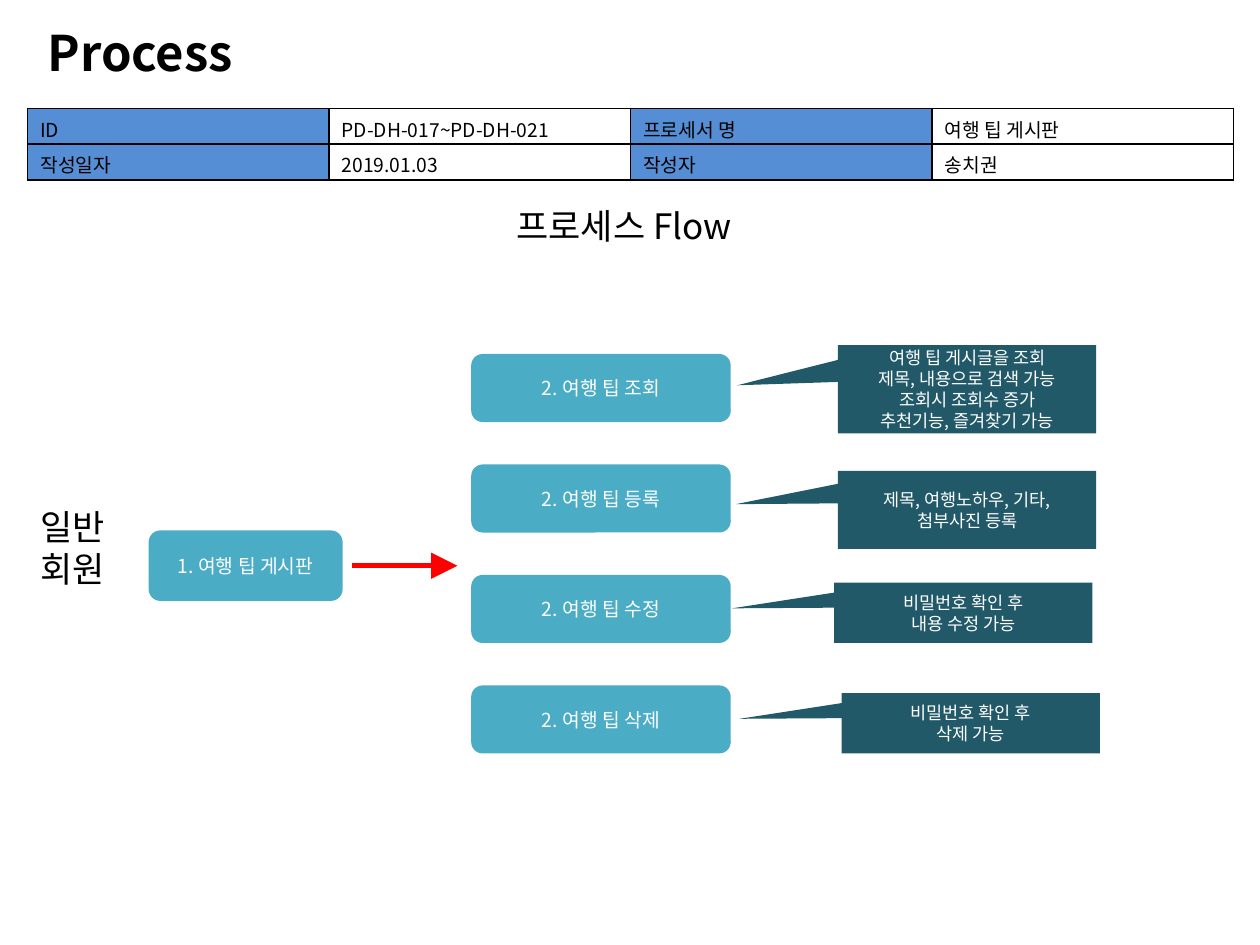
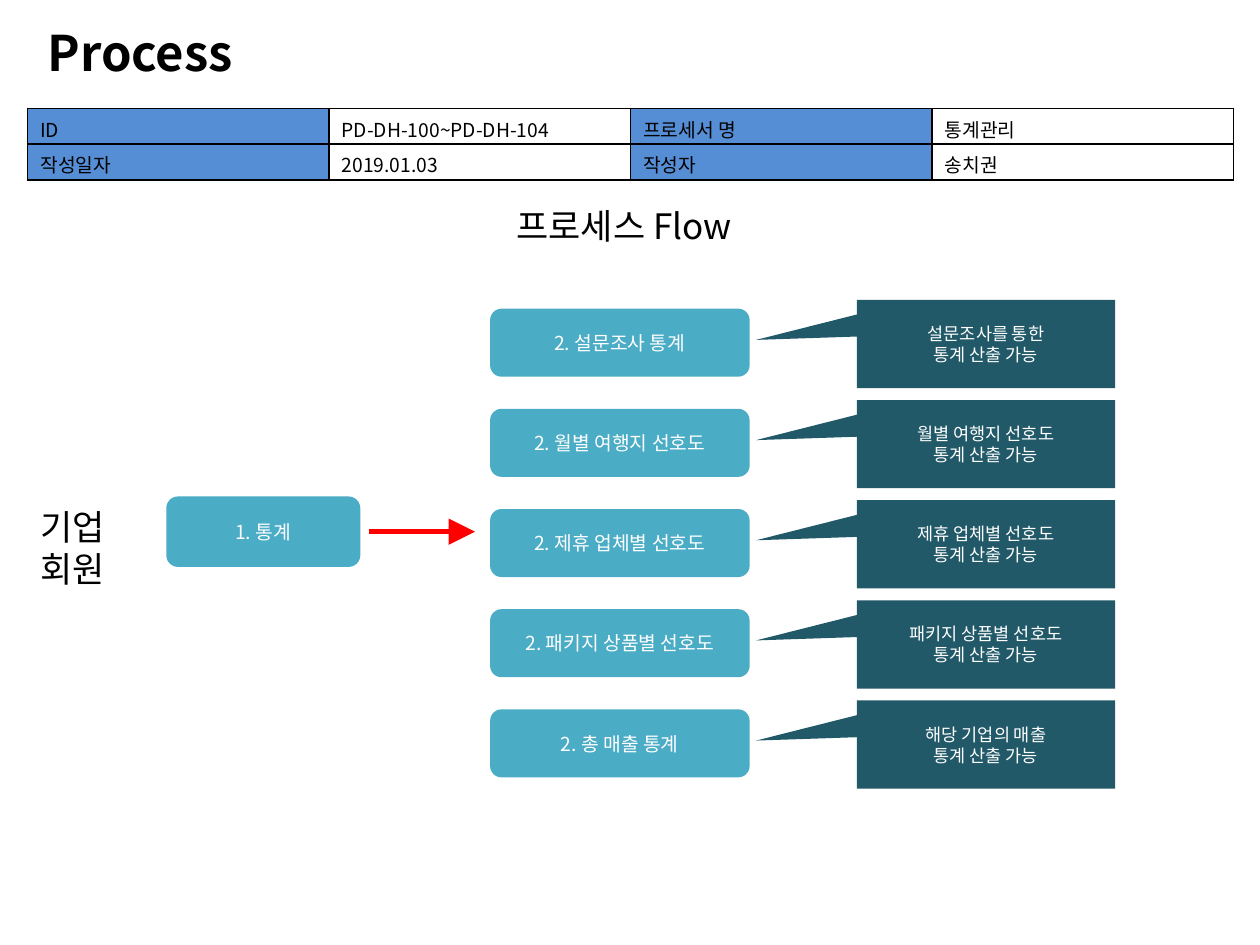
from lxml import etree
from pptx import Presentation
from pptx.dml.color import RGBColor
from pptx.enum.shapes import MSO_CONNECTOR, MSO_SHAPE
from pptx.enum.text import MSO_ANCHOR, PP_ALIGN
from pptx.oxml.ns import qn
from pptx.util import Inches, Pt

ROUNDED = MSO_SHAPE.ROUNDED_RECTANGLE
CALLOUT = MSO_SHAPE.RECTANGULAR_CALLOUT
STRAIGHT = MSO_CONNECTOR.STRAIGHT
MIDDLE = MSO_ANCHOR.MIDDLE
LEFT, CENTER = PP_ALIGN.LEFT, PP_ALIGN.CENTER

FONT = "Noto Sans CJK KR"
BLACK, WHITE, RED = "000000", "FFFFFF", "FF0000"
LABEL_BLUE, STEP_TEAL, NOTE_TEAL = "558ED5", "4BACC6", "215968"
STEP_W, STEP_H = 2.06, 0.54
NOTE_W = 2.05
START_W, START_H = 1.54, 0.56
TALL_TAIL, SHORT_TAIL = (-0.89, -0.045), (-0.895, -0.073)

TIP_BOARD = {
    "id": "PD-DH-017~PD-DH-021",
    "name": "여행 팁 게시판",
    "member": ["일반", "회원"],
    "start": ("1. 여행 팁 게시판", 1.18, 4.21),
    "steps_left": 3.74,
    "first_top": 2.81,
    "last_top": 5.44,
    "steps": [
        ("2. 여행 팁 조회",
         ["여행 팁 게시글을 조회", "제목, 내용으로 검색 가능",
          "조회시 조회수 증가", "추천기능, 즐겨찾기 가능"],
         (2.91, -0.07, 0.7), TALL_TAIL),
        ("2. 여행 팁 등록", ["제목, 여행노하우, 기타,", "첨부사진 등록"],
         (2.91, 0.05, 0.62), SHORT_TAIL),
        ("2. 여행 팁 수정", ["비밀번호 확인 후", "내용 수정 가능"],
         (2.88, 0.06, 0.48), SHORT_TAIL),
        ("2. 여행 팁 삭제", ["비밀번호 확인 후", "삭제 가능"],
         (2.94, 0.06, 0.48), SHORT_TAIL),
    ],
}

STATISTICS = {
    "id": "PD-DH-100~PD-DH-104",
    "name": "통계관리",
    "member": ["기업", "회원"],
    "start": ("1. 통계", 1.32, 3.94),
    "steps_left": 3.89,
    "first_top": 2.45,
    "last_top": 5.63,
    "steps": [
        (f"2. {topic}", [reason, "통계 산출 가능"], (2.91, -0.07, 0.7), TALL_TAIL)
        for topic, reason in [
            ("설문조사 통계", "설문조사를 통한"),
            ("월별 여행지 선호도", "월별 여행지 선호도"),
            ("제휴 업체별 선호도", "제휴 업체별 선호도"),
            ("패키지 상품별 선호도", "패키지 상품별 선호도"),
            ("총 매출 통계", "해당 기업의 매출"),
        ]
    ],
}


def color(value):
    """Turn a hex string into a colour."""
    return RGBColor.from_string(value)


def write(frame, lines, size, ink, align=LEFT, bold=False):
    """Fill a text frame with one paragraph per line."""
    frame.word_wrap = True
    for index, line in enumerate(lines):
        paragraph = frame.add_paragraph() if index else frame.paragraphs[0]
        paragraph.alignment = align
        run = paragraph.add_run()
        run.text = line
        for key, value in {"name": FONT, "size": Pt(size), "bold": bold}.items():
            setattr(run.font, key, value)
        run.font.color.rgb = color(ink)
        east_asian = etree.SubElement(run.font._element, qn("a:ea"))
        east_asian.set("typeface", FONT)


def add_label(slide, box, lines, size, bold=False):
    """Place plain black text in a box."""
    label = slide.shapes.add_textbox(*map(Inches, box))
    write(label.text_frame, lines, size, BLACK, bold=bold)


def add_block(slide, kind, box, fill, lines, size, adjustments):
    """Place a filled shape with centred white text."""
    block = slide.shapes.add_shape(kind, *map(Inches, box))
    block.shadow.inherit = False
    block.fill.solid()
    block.fill.fore_color.rgb = color(fill)
    block.line.fill.background()
    for index, value in enumerate(adjustments):
        block.adjustments[index] = value
    block.text_frame.vertical_anchor = MIDDLE
    write(block.text_frame, lines, size, WHITE, CENTER)


def add_borders(cell):
    """Draw a thin black line on each side of a cell."""
    properties = cell._tc.get_or_add_tcPr()
    for side in ("a:lnL", "a:lnR", "a:lnT", "a:lnB"):
        border = etree.SubElement(properties, qn(side), w=str(Pt(1)))
        fill = etree.SubElement(border, qn("a:solidFill"))
        etree.SubElement(fill, qn("a:srgbClr"), val=BLACK)


def add_summary(slide, box, rows):
    """Place the table of document details."""
    table = slide.shapes.add_table(len(rows), len(rows[0]), *map(Inches, box)).table
    table.first_row = table.horz_banding = False
    for r, row in enumerate(rows):
        for c, text in enumerate(row):
            cell = table.cell(r, c)
            add_borders(cell)
            cell.fill.solid()
            cell.fill.fore_color.rgb = color(WHITE if c % 2 else LABEL_BLUE)
            write(cell.text_frame, [text], 11, BLACK)


def add_arrow(slide, left, y, width):
    """Draw a red arrow pointing right."""
    ends = map(Inches, (left, y, left + width, y))
    arrow = slide.shapes.add_connector(STRAIGHT, *ends)
    arrow.line.color.rgb = color(RED)
    arrow.line.width = Pt(3)
    etree.SubElement(arrow.line._get_or_add_ln(), qn("a:tailEnd"),
                     type="triangle", w="lg", len="lg")
    etree.SubElement(arrow._element.spPr, qn("a:effectLst"))


def add_start(slide, text, left, top):
    """Place the first step and the arrow that leaves it."""
    add_block(slide, ROUNDED, (left, top, START_W, START_H), STEP_TEAL,
              [text], 11, [0.167])
    add_arrow(slide, left + START_W + 0.07, top + START_H / 2, 0.84)


def add_step(slide, left, top, step):
    """Place a second step with the callout that explains it."""
    title, note, (dx, dy, height), tail = step
    add_block(slide, ROUNDED, (left, top, STEP_W, STEP_H), STEP_TEAL,
              [title], 11, [0.167])
    add_block(slide, CALLOUT, (left + dx, top + dy, NOTE_W, height), NOTE_TEAL,
              note, 10, tail)


def add_process_slide(deck, process):
    """Build one process slide."""
    slide = deck.slides.add_slide(deck.slide_layouts[6])
    add_label(slide, (0.28, 0.13, 8.98, 0.57), ["Process"], 28, bold=True)
    add_summary(slide, (0.22, 0.86, 9.57, 0.57), [
        ["ID", process["id"], "프로세서 명", process["name"]],
        ["작성일자", "2019.01.03", "작성자", "송치권"],
    ])
    add_label(slide, (4, 1.57, 2.01, 0.44), ["프로세스 Flow"], 20)
    add_label(slide, (0.22, 3.96, 0.76, 0.77), process["member"], 20)
    add_start(slide, *process["start"])
    steps, first = process["steps"], process["first_top"]
    pitch = (process["last_top"] - first) / (len(steps) - 1)
    for index, step in enumerate(steps):
        add_step(slide, process["steps_left"], first + index * pitch, step)


def main():
    """Build and save the deck."""
    deck = Presentation()
    deck.slide_width, deck.slide_height = Inches(10), Inches(7.5)
    for process in (TIP_BOARD, STATISTICS):
        add_process_slide(deck, process)
    deck.save("out.pptx")


if __name__ == "__main__":
    main()
